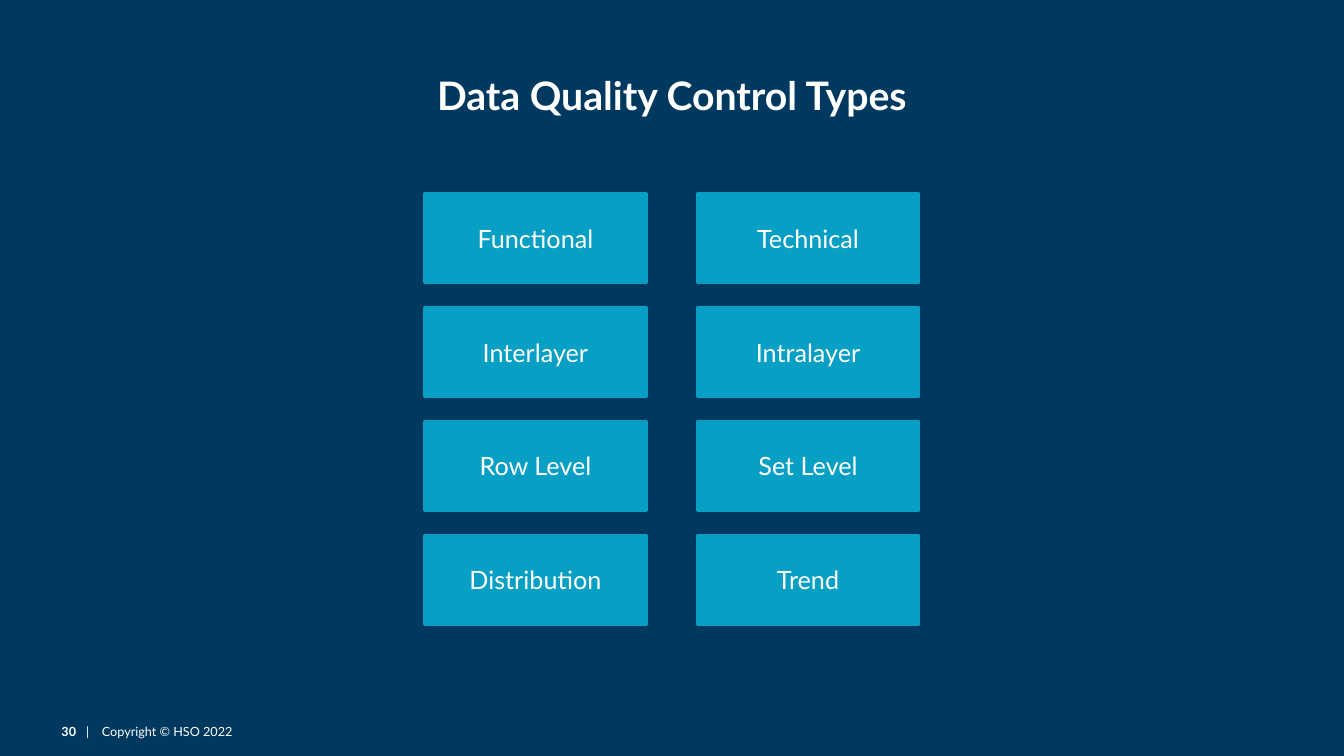
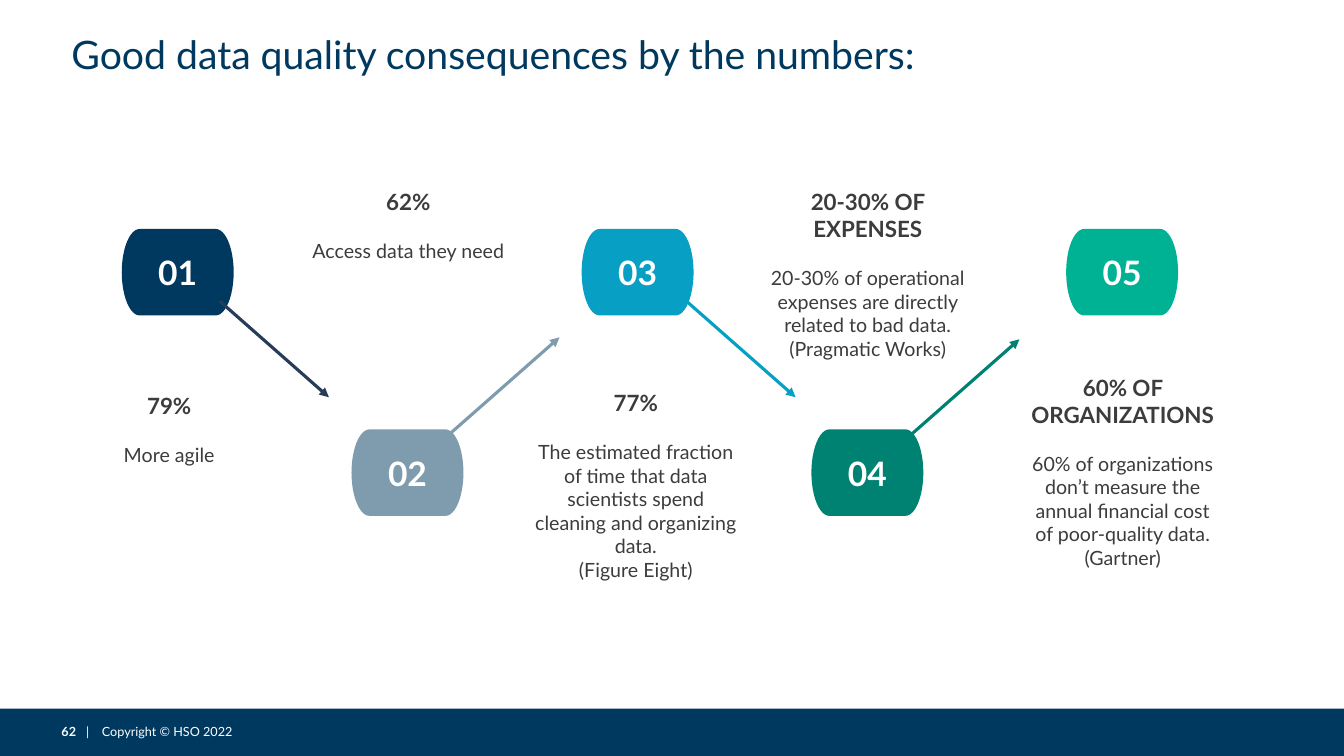
from lxml import etree
from pptx import Presentation
from pptx import util as u
from pptx.dml.color import RGBColor
from pptx.enum import shapes, text
from pptx.oxml.ns import qn

NAVY, CYAN, STEEL = "00395F", "079FC3", "7F9CAF"
TEAL, GREEN, INK = "008272", "00B294", "263C59"
WHITE, GREY = "FFFFFF", "3C3C3C"
FONT = "Lato"
WIDTH, HEIGHT = 33.87, 19.05
BAND_TOP = 17.86


def paint(target, colour):
    """Give a fill a solid colour."""
    target.solid()
    target.fore_color.rgb = RGBColor.from_string(colour)


def lengths(*values):
    return [u.Cm(value) for value in values]


class SlideBuilder:
    """Holds the deck, its style and the slide being built."""

    def __init__(self):
        self.deck = Presentation()
        self.deck.slide_width, self.deck.slide_height = lengths(WIDTH, HEIGHT)
        self.page = None

    def start(self, number, background):
        self.page = self.deck.slides.add_slide(self.deck.slide_layouts[5])
        paint(self.page.background.fill, background)
        self.shape(shapes.MSO_SHAPE.RECTANGLE, (0, BAND_TOP, WIDTH, HEIGHT - BAND_TOP), NAVY)
        self.footer(number)

    def style(self, para, size, colour, bold=False, align=text.PP_ALIGN.CENTER):
        para.alignment = align
        for span in para.runs:
            span.font.name = FONT
            span.font.size = u.Pt(size)
            span.font.bold = bold
            span.font.color.rgb = RGBColor.from_string(colour)

    def frame(self, box, side, top):
        """Set wrapping and the side and top insets of a text frame."""
        frame = box.text_frame
        frame.word_wrap = True
        frame.auto_size = text.MSO_AUTO_SIZE.NONE
        frame.margin_left = frame.margin_right = u.Cm(side)
        frame.margin_top = frame.margin_bottom = u.Cm(top)
        return frame

    def footer(self, number):
        box = self.page.shapes.add_textbox(*lengths(1.55, 18.24, 4.67, 0.38))
        frame = self.frame(box, 0, 0)
        frame.vertical_anchor = text.MSO_ANCHOR.MIDDLE
        para = frame.paragraphs[0]
        stops = etree.SubElement(para._p.get_or_add_pPr(), qn("a:tabLst"))
        for position in (0.62, 1.02):
            etree.SubElement(stops, qn("a:tab"), pos=str(u.Cm(position)), algn="l")
        para.text = str(number)
        para.add_run().text = "\t|\tCopyright © HSO 2022"
        self.style(para, 9, WHITE, align=text.PP_ALIGN.LEFT)
        para.runs[0].font.bold = True

    def title(self, words, top, colour, bold, align):
        box = self.page.shapes.title
        box.left, box.top, box.width, box.height = lengths(1.55, top, 30.76, 1.4)
        frame = self.frame(box, 0.25, 0.1)
        frame.vertical_anchor = text.MSO_ANCHOR.MIDDLE
        frame.text = words
        self.style(frame.paragraphs[0], 28, colour, bold, align)

    def shape(self, kind, place, fill):
        shape = self.page.shapes.add_shape(kind, *lengths(*place))
        shape.shadow.inherit = False
        paint(shape.fill, fill)
        shape.line.fill.background()
        return shape

    def label(self, shape, words, size, bold=False):
        frame = self.frame(shape, 0.3, 0.3)
        frame.vertical_anchor = text.MSO_ANCHOR.MIDDLE
        frame.text = words
        self.style(frame.paragraphs[0], size, WHITE, bold)

    def tile(self, words, left, top):
        tile = self.shape(shapes.MSO_SHAPE.RECTANGLE, (left, top, 5.59, 2.24), CYAN)
        paint(tile.line.fill, CYAN)
        tile.line.width = u.Pt(2)
        self.label(tile, words, 18)

    def badge(self, words, left, top, fill):
        kind = shapes.MSO_SHAPE.FLOWCHART_TERMINATOR
        self.label(self.shape(kind, (left, top, 2.82, 2.18), fill), words, 24, bold=True)

    def fact(self, place, heading, *lines):
        box = self.page.shapes.add_textbox(*lengths(*place))
        frame = self.frame(box, 0.25, 0.13)
        frame.text = "\n".join((heading, *lines))
        first, *details = frame.paragraphs
        self.style(first, 16, GREY, bold=True)
        for para in details:
            self.style(para, 14, GREY)
        details[0].space_before = u.Pt(17)

    def arrow(self, left, top, rise, colour):
        """Draw a slanted arrow; a negative rise points up."""
        ends = lengths(left, top, left + 2.75, top + rise)
        arrow = self.page.shapes.add_connector(shapes.MSO_CONNECTOR.STRAIGHT, *ends)
        arrow.line.width = u.Pt(2.25)
        paint(arrow.line.fill, colour)
        etree.SubElement(arrow.line._get_or_add_ln(), qn("a:tailEnd"), type="triangle")
        etree.SubElement(arrow._element.spPr, qn("a:effectLst"))


def control_types(builder):
    builder.start(30, NAVY)
    builder.title("Data Quality Control Types", 1.7, WHITE, True, text.PP_ALIGN.CENTER)
    pairs = [
        ("Functional", "Technical"),
        ("Interlayer", "Intralayer"),
        ("Row Level", "Set Level"),
        ("Distribution", "Trend"),
    ]
    for row, pair in enumerate(pairs):
        for column, words in enumerate(pair):
            builder.tile(words, 10.7 + 6.87 * column, 4.88 + 2.87 * row)


def consequences(builder):
    builder.start(62, WHITE)
    builder.title("Good data quality consequences by the numbers:", 0.66, NAVY, False,
                  text.PP_ALIGN.LEFT)
    lefts = (3.07, 8.86, 14.66, 20.45, 26.87)
    fills = (NAVY, STEEL, CYAN, TEAL, GREEN)
    for index, (left, fill) in enumerate(zip(lefts, fills)):
        builder.badge(f"{index + 1:02}", left, 5.77 + 5.05 * (index % 2), fill)

    builder.fact((1.65, 9.75, 5.23, 2.13), "79%", "More agile")
    builder.fact((7.57, 4.62, 5.44, 2.13), "62%", "Access data they need")
    builder.fact((13.23, 9.68, 5.59, 5.13), "77%",
                 "The estimated fraction of time that data scientists spend "
                 "cleaning and organizing data.",
                 "(Figure Eight)")
    builder.fact((19.15, 4.62, 5.44, 4.62), "20-30% OF EXPENSES",
                 "20-30% of operational expenses are directly related to bad data.",
                 "(Pragmatic Works)")
    builder.fact((25.68, 9.3, 5.23, 5.21), "60% OF ORGANIZATIONS",
                 "60% of organizations don’t measure the annual financial cost "
                 "of poor-quality data.",
                 "(Gartner)")

    builder.arrow(5.54, 7.59, 2.42, INK)
    builder.arrow(11.35, 10.92, -2.42, STEEL)
    builder.arrow(17.3, 7.59, 2.42, CYAN)
    builder.arrow(22.94, 10.97, -2.42, TEAL)


def main():
    builder = SlideBuilder()
    control_types(builder)
    consequences(builder)
    builder.deck.save("out.pptx")


if __name__ == "__main__":
    main()
